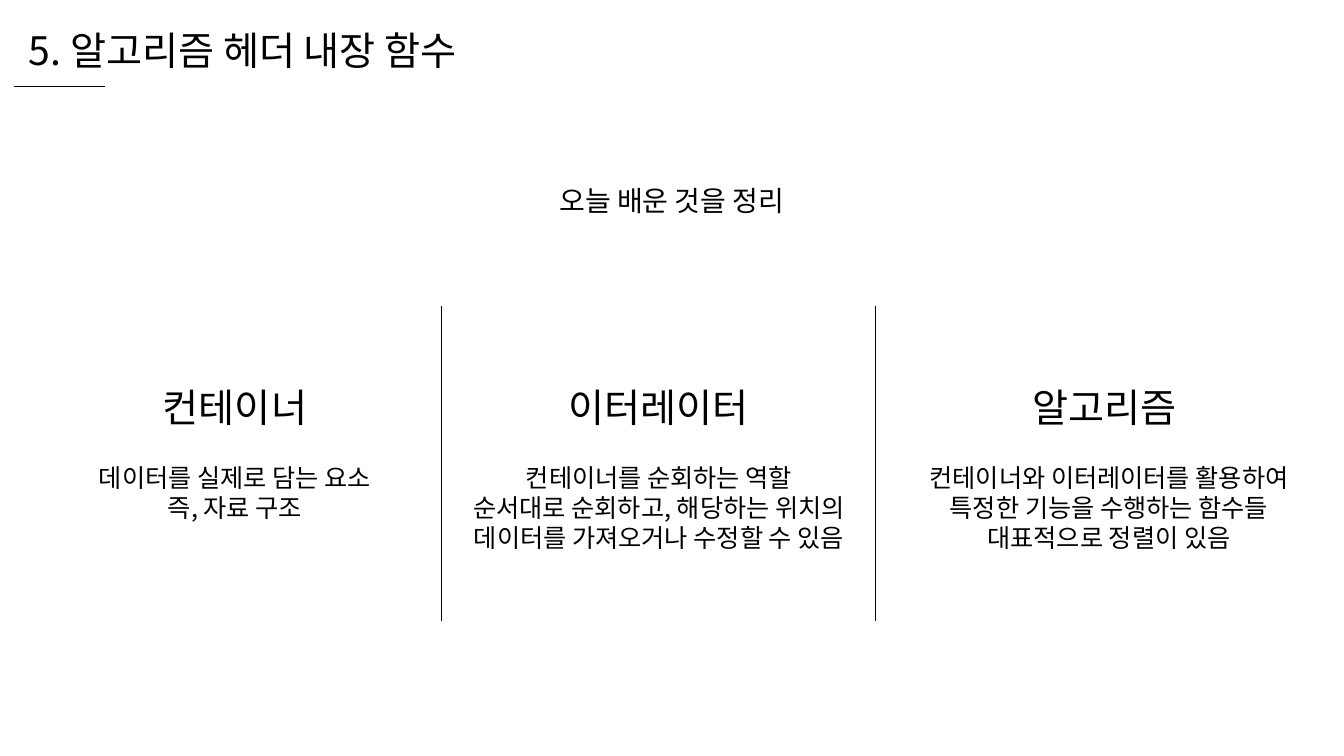
from pptx import Presentation
from pptx.dml.color import RGBColor
from pptx.enum.shapes import MSO_CONNECTOR
from pptx.enum.text import MSO_AUTO_SIZE, PP_ALIGN
from pptx.oxml.ns import qn
from pptx.util import Emu, Pt

BLACK = RGBColor(0, 0, 0)
FONT = "Noto Sans CJK KR"
SCALE = 914400 / 100.8
HEADING_SIZE = 28
COLUMNS = [
    (235, 169, "컨테이너", 304, ["데이터를 실제로 담는 요소", "즉, 자료 구조"]),
    (659, 207, "이터레이터", 413, [
        "컨테이너를 순회하는 역할",
        "순서대로 순회하고, 해당하는 위치의",
        "데이터를 가져오거나 수정할 수 있음",
    ]),
    (1109, 180, "알고리즘 ", 392, [
        "컨테이너와 이터레이터를 활용하여",
        "특정한 기능을 수행하는 함수들",
        "대표적으로 정렬이 있음",
    ]),
]


def px(length):
    """Turn pixels into EMU."""
    return Emu(round(length * SCALE))


def style_run(run, size):
    """Give a run its font for Latin and Korean text."""
    run.font.name = FONT
    run.font.size = Pt(size)
    run.font.color.rgb = BLACK
    properties = run.font._element
    east_asian = properties.makeelement(qn("a:ea"), {"typeface": FONT})
    properties.find(qn("a:latin")).addnext(east_asian)


def add_text(slide, box, lines, size, align=PP_ALIGN.CENTER, spacing=None):
    """Add an unwrapped text box with one paragraph per line."""
    shape = slide.shapes.add_textbox(*map(px, box))
    text_frame = shape.text_frame
    text_frame.text = "\n".join(lines)
    text_frame.word_wrap = False
    text_frame.auto_size = MSO_AUTO_SIZE.SHAPE_TO_FIT_TEXT
    for paragraph in text_frame.paragraphs:
        paragraph.alignment = align
        paragraph.line_spacing = spacing
        for run in paragraph.runs:
            style_run(run, size)


def add_line(slide, *ends):
    """Add a thin black line between two points."""
    connector = slide.shapes.add_connector(MSO_CONNECTOR.STRAIGHT, *map(px, ends))
    connector.line.color.rgb = BLACK
    connector.line.width = Pt(0.5)
    properties = connector._element.spPr
    properties.append(properties.makeelement(qn("a:effectLst"), {}))


def add_column(slide, center, heading_width, heading, body_width, body):
    """Add a heading and its description around one centre."""
    heading_box = (center - heading_width / 2, 378, heading_width, 57)
    add_text(slide, heading_box, [heading], HEADING_SIZE)
    body_box = (center - body_width / 2, 457, body_width, 12 + 30 * len(body))
    add_text(slide, body_box, body, 18)


def main():
    """Build the summary slide and save it."""
    presentation = Presentation()
    presentation.slide_width = px(1344)
    presentation.slide_height = px(756)
    slide = presentation.slides.add_slide(presentation.slide_layouts[6])
    add_text(slide, (19, 21, 474, 57), ["5. 알고리즘 헤더 내장 함수"],
             HEADING_SIZE, PP_ALIGN.LEFT)
    add_line(slide, 14, 86, 105, 86)
    add_text(slide, (540, 162, 264, 55), ["오늘 배운 것을 정리"], 20, spacing=1.5)
    for divider in (441, 875):
        add_line(slide, divider, 306, divider, 621)
    for column in COLUMNS:
        add_column(slide, *column)
    presentation.save("out.pptx")


main()
